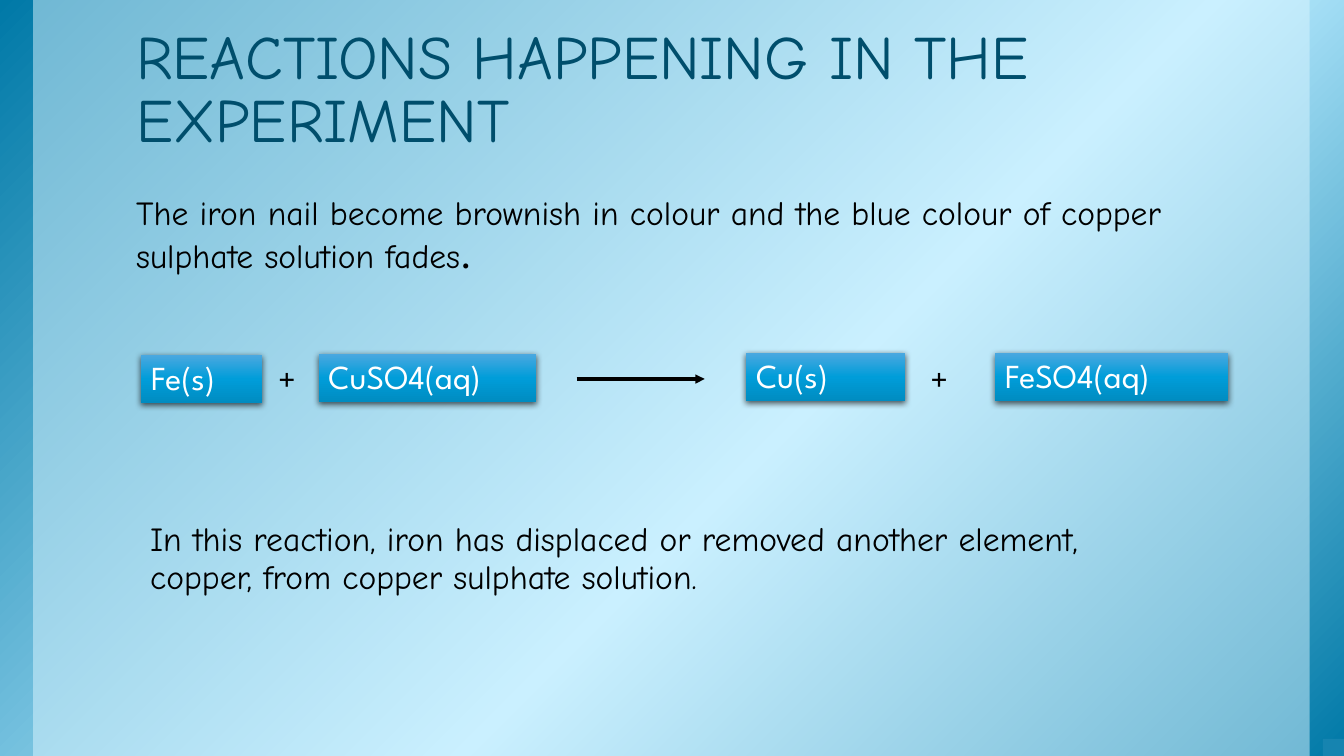
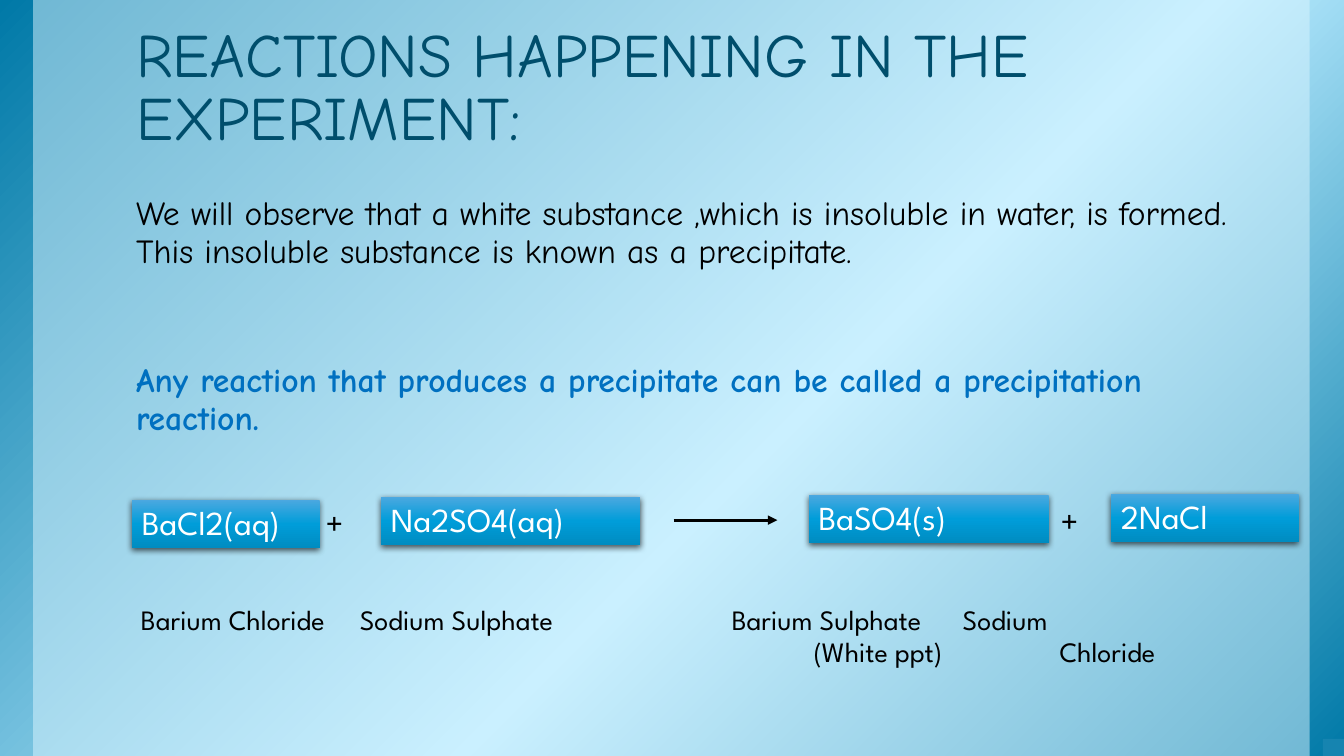
"""Build two slides on displacement and precipitation reactions."""
from pptx import Presentation
from pptx.dml.color import RGBColor
from pptx.enum.shapes import MSO_CONNECTOR, MSO_SHAPE
from pptx.enum.text import MSO_ANCHOR, MSO_AUTO_SIZE, PP_ALIGN
from pptx.oxml import parse_xml
from pptx.oxml.ns import nsdecls, qn
from pptx.util import Pt

PX = 9144
WIDE, HIGH = 1333, 750
EDGE, BODY_TOP, BODY_WIDE = 122, 186, 1111
TITLE_HIGH, TERM_HIGH = 153, 48
BODY_PAD, BOX_PAD = (13, 7), (10, 5)
HAND, SANS = "Comic Neue", "League Spartan"
COLOR = {
    "title": "004E6C", "text": "000000", "note": "0070C0", "label": "FFFFFF",
    "band": "DCF5FF", "corner": "1684B0",
}
LOOK = {
    "title": (44, HAND, "title", False),
    "text": (24, HAND, "text", False),
    "note": (24, HAND, "note", True),
    "stop": (28, SANS, "text", False),
    "term": (24, SANS, "label", False),
    "plus": (24, SANS, "text", False),
    "name": (20, SANS, "text", False),
}
PAGE = [(0, "0079A7"), (58, "B9EBFF"), (100, "0079A7")]
GLOSS = [(0, "4BA8E0"), (50, "009DD9"), (100, "008CC1")]

SLIDES = [
    {
        "title": ("REACTIONS HAPPENING IN THE EXPERIMENT", 8),
        "texts": [
            ((EDGE, BODY_TOP, BODY_WIDE, 189), BODY_PAD, [
                [("The iron nail become brownish in colour and the blue colour "
                  "of copper sulphate solution fades", "text"), (".", "stop")],
            ]),
            ((139, 512, 1039, 87), BOX_PAD, [
                [("In this reaction, iron has displaced or removed another "
                  "element, copper, from copper sulphate solution.", "text")],
            ]),
        ],
        "terms": [("Fe(s)", 140, 352, 120), ("CuSO4(aq)", 316, 351, 216),
                  ("Cu(s)", 740, 350, 158), ("FeSO4(aq)", 987, 350, 231)],
        "pluses": [(266, 353, 50), (913, 353, 50)],
        "arrow": (572, 699, 376),
    },
    {
        "title": ("REACTIONS HAPPENING IN THE EXPERIMENT:", 6),
        "texts": [
            ((EDGE, BODY_TOP, BODY_WIDE, 260), BODY_PAD, [
                [("We will observe that a white substance ,which is insoluble in "
                  "water, is formed. This insoluble substance is known as a "
                  "precipitate.", "text")],
                [("Any reaction that produces a precipitate can be called a "
                  "precipitation reaction.", "note")],
            ]),
        ],
        "terms": [("BaCl2(aq)", 131, 496, 186), ("Na2SO4(aq)", 378, 493, 257),
                  ("BaSO4(s)", 802, 491, 238), ("2NaCl", 1102, 490, 186)],
        "pluses": [(313, 496, 41), (1042, 494, 41)],
        "arrow": (668, 771, 516),
        "names": ((130, 595, 1142, 74), [
            ("Barium Chloride\tSodium Sulphate\tBarium Sulphate\tSodium",
             (217, 586, 815)),
            ("\t(White ppt)\tChloride", (667, 911)),
        ]),
    },
]


def emu(*sizes):
    return [size * PX for size in sizes]


def rgb(name):
    return RGBColor.from_string(COLOR[name])


def node(tag, attrs="", inner=""):
    return parse_xml(f'<a:{tag} {nsdecls("a")} {attrs}>{inner}</a:{tag}>')


def write(shape, paras, pad, spacing=0.95, gap=0,
          fit=MSO_AUTO_SIZE.NONE, anchor=MSO_ANCHOR.TOP):
    body = shape.text_frame
    body.word_wrap, body.auto_size, body.vertical_anchor = True, fit, anchor
    body.margin_left = body.margin_right = pad[0] * PX
    body.margin_top = body.margin_bottom = pad[1] * PX
    for i, parts in enumerate(paras):
        para = body.add_paragraph() if i else body.paragraphs[0]
        para.alignment, para.line_spacing = PP_ALIGN.LEFT, spacing
        if i:
            para.space_before = Pt(gap)
        for text, look in parts:
            run = para.add_run()
            run.text = text
            size, face, color, bold = LOOK[look]
            run.font.size, run.font.name, run.font.bold = Pt(size), face, bold
            run.font.color.rgb = rgb(color)


def add_box(slide, rect):
    return slide.shapes.add_textbox(*emu(*rect))


def add_block(slide, rect):
    block = slide.shapes.add_shape(MSO_SHAPE.RECTANGLE, *emu(*rect))
    block.shadow.inherit = False
    block.line.fill.background()
    block.fill.solid()
    return block


def blend(block, stops, angle):
    marks = "".join(f'<a:gs pos="{at * 1000}"><a:srgbClr val="{color}"/></a:gs>'
                    for at, color in stops)
    props = block.element.spPr
    props.replace(props.find(qn("a:solidFill")), node(
        "gradFill", 'rotWithShape="1"',
        f'<a:gsLst>{marks}</a:gsLst><a:lin ang="{angle * 60000}" scaled="0"/>'))


def add_back(slide):
    page = add_block(slide, (0, 0, WIDE, HIGH))
    blend(page, PAGE, 45)
    band = add_block(slide, (33, 0, 1266, HIGH))
    band.fill.fore_color.rgb = rgb("band")
    band.element.spPr.find(qn("a:solidFill"))[0].append(
        node("alpha", 'val="50000"'))
    corner = add_block(slide, (1312, 733, 21, 17))
    corner.fill.fore_color.rgb = rgb("corner")
    tree = slide.slide_layout.shapes.element
    for i, block in enumerate((page, band, corner)):
        block.element.nvSpPr.cNvPr.set("id", str(20 + i))
        tree.insert(2 + i, block.element)


def add_title(slide, text, top):
    title = slide.shapes.title
    title.left, title.top, title.width, title.height = emu(
        EDGE, top, BODY_WIDE, TITLE_HIGH)
    write(title, [[(text, "title")]], BODY_PAD, spacing=0.85,
          anchor=MSO_ANCHOR.BOTTOM)


def add_term(slide, text, left, top, width):
    block = add_block(slide, (left, top, width, TERM_HIGH))
    blend(block, GLOSS, 90)
    block.element.spPr.find(qn("a:effectLst")).append(node(
        "outerShdw",
        'blurRad="57150" dist="19050" dir="5400000" algn="ctr" rotWithShape="0"',
        '<a:srgbClr val="000000"><a:alpha val="63000"/></a:srgbClr>'))
    write(block, [[(text, "term")]], BOX_PAD, fit=MSO_AUTO_SIZE.SHAPE_TO_FIT_TEXT)


def add_plus(slide, left, top, width):
    box = add_box(slide, (left, top, width, TERM_HIGH))
    write(box, [[("+", "plus")]], BOX_PAD, fit=MSO_AUTO_SIZE.SHAPE_TO_FIT_TEXT)


def add_arrow(slide, start, end, level):
    arrow = slide.shapes.add_connector(
        MSO_CONNECTOR.STRAIGHT, *emu(start, level, end, level))
    arrow.line.width = Pt(2.25)
    arrow.line.color.rgb = rgb("text")
    props = arrow.element.spPr
    props.find(qn("a:ln")).append(node("tailEnd", 'type="triangle"'))
    props.append(node("effectLst"))


def add_names(slide, rect, rows):
    box = add_box(slide, rect)
    write(box, [[(text, "name")] for text, stops in rows], BOX_PAD)
    for props, (text, stops) in zip(box.element.iter(qn("a:pPr")), rows):
        tabs = "".join(f'<a:tab pos="{stop * PX}" algn="l"/>' for stop in stops)
        props.append(node("tabLst", inner=tabs))


def main():
    deck = Presentation()
    deck.slide_width, deck.slide_height = emu(WIDE, HIGH)
    for i, page in enumerate(SLIDES):
        slide = deck.slides.add_slide(deck.slide_layouts[5])
        if i == 0:
            add_back(slide)
        add_title(slide, *page["title"])
        for rect, pad, paras in page["texts"]:
            write(add_box(slide, rect), paras, pad, gap=64.6)
        for term in page["terms"]:
            add_term(slide, *term)
        for plus in page["pluses"]:
            add_plus(slide, *plus)
        add_arrow(slide, *page["arrow"])
        if "names" in page:
            add_names(slide, *page["names"])
    deck.save("out.pptx")


if __name__ == "__main__":
    main()
